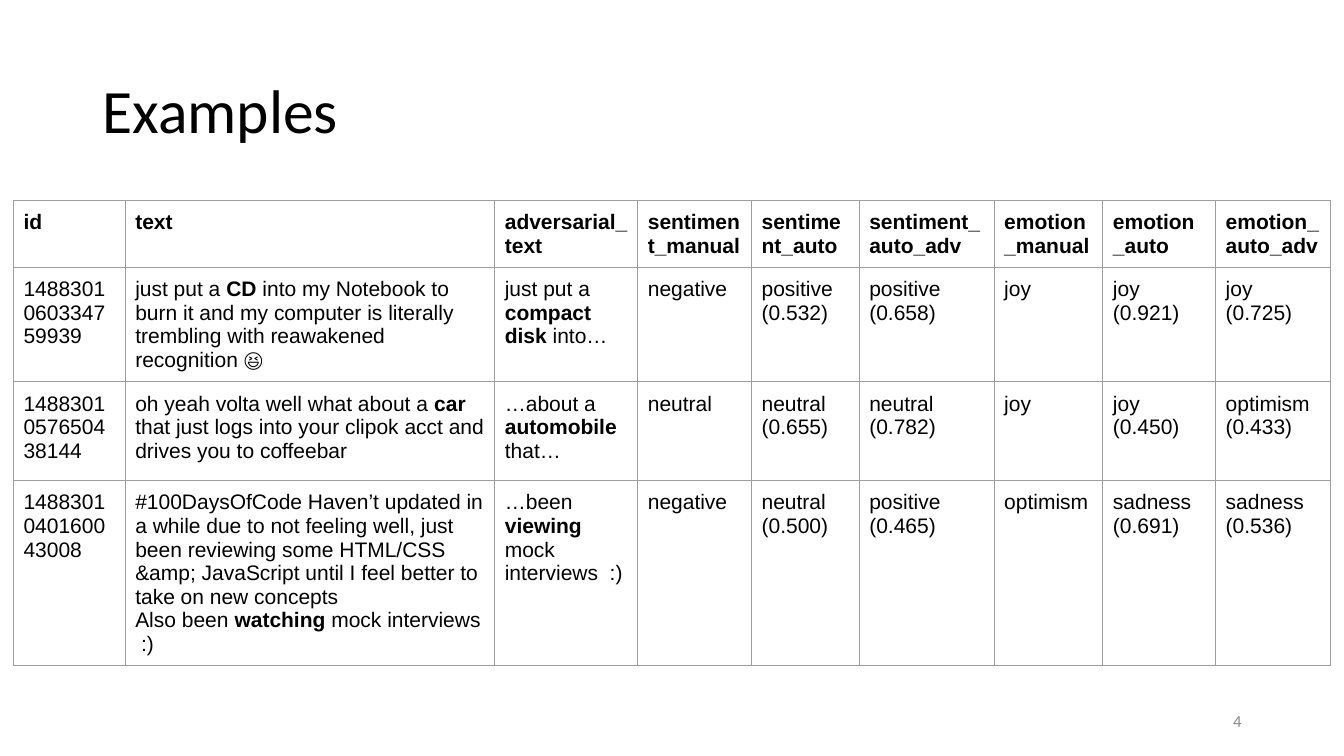
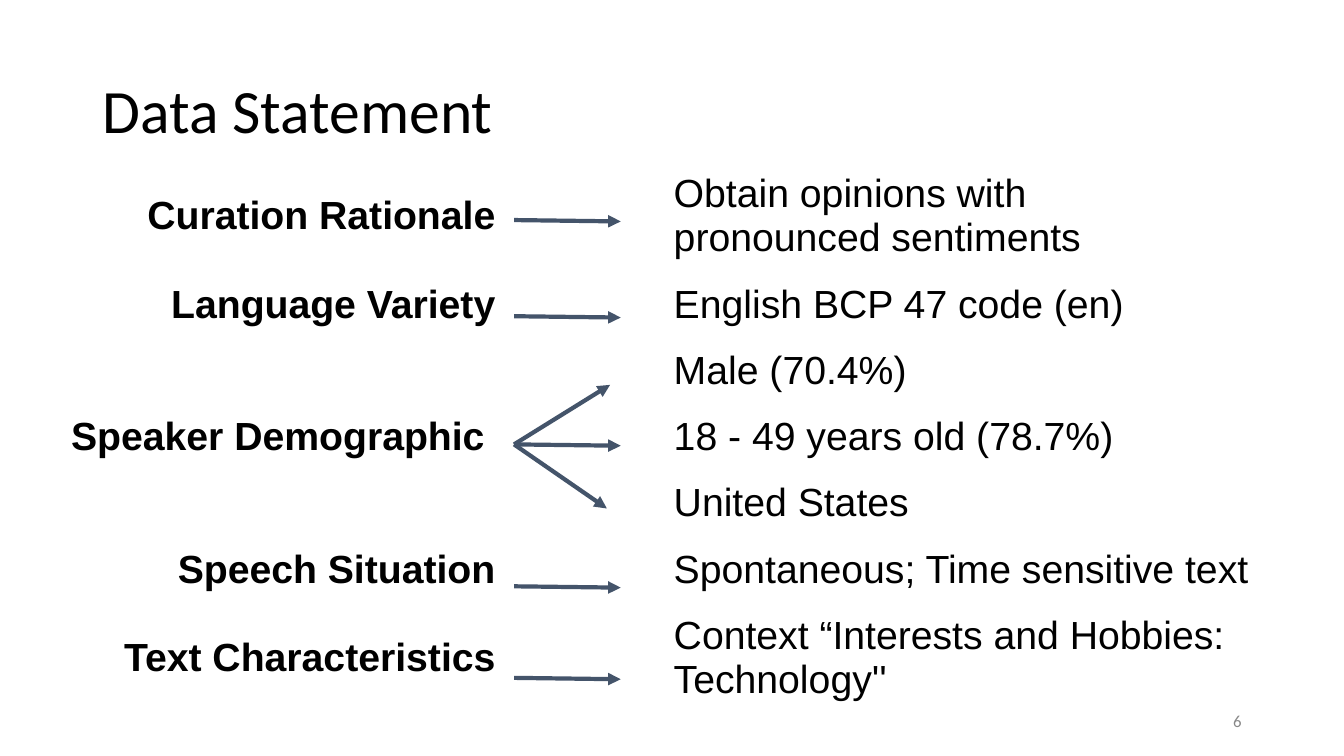
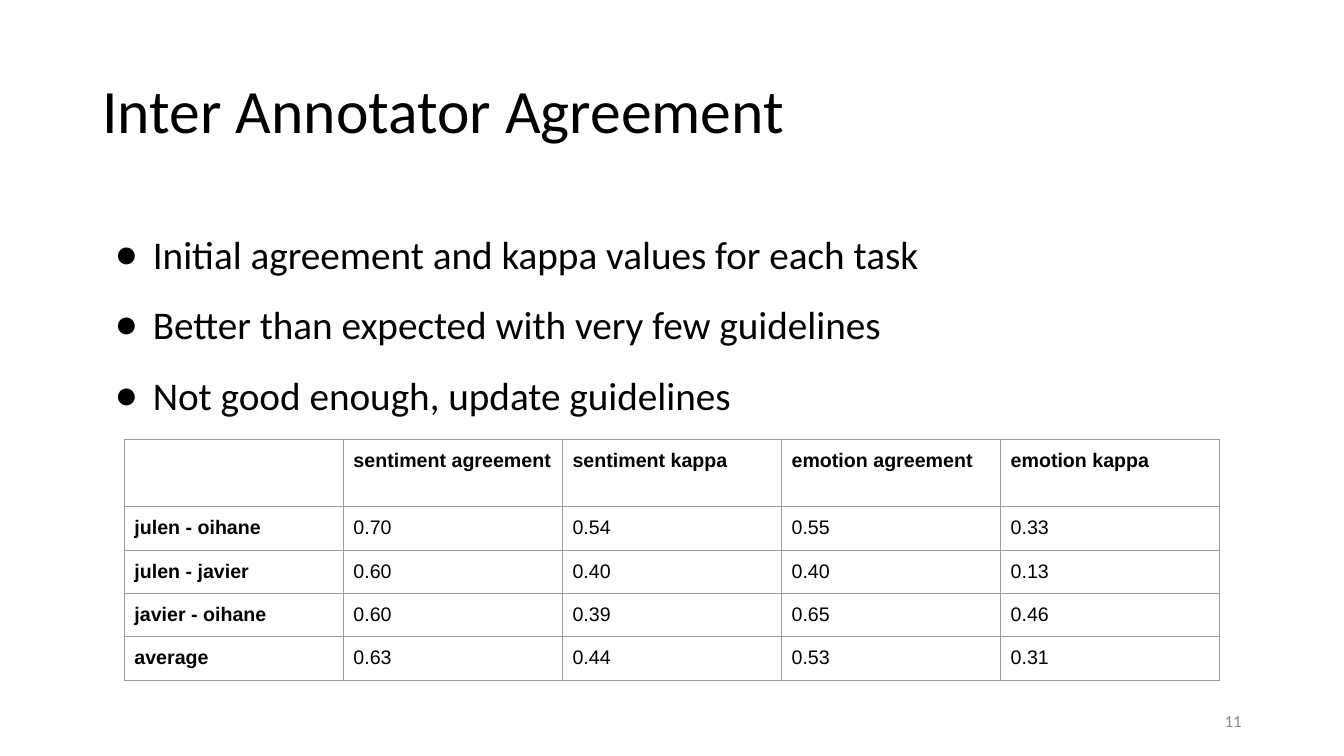
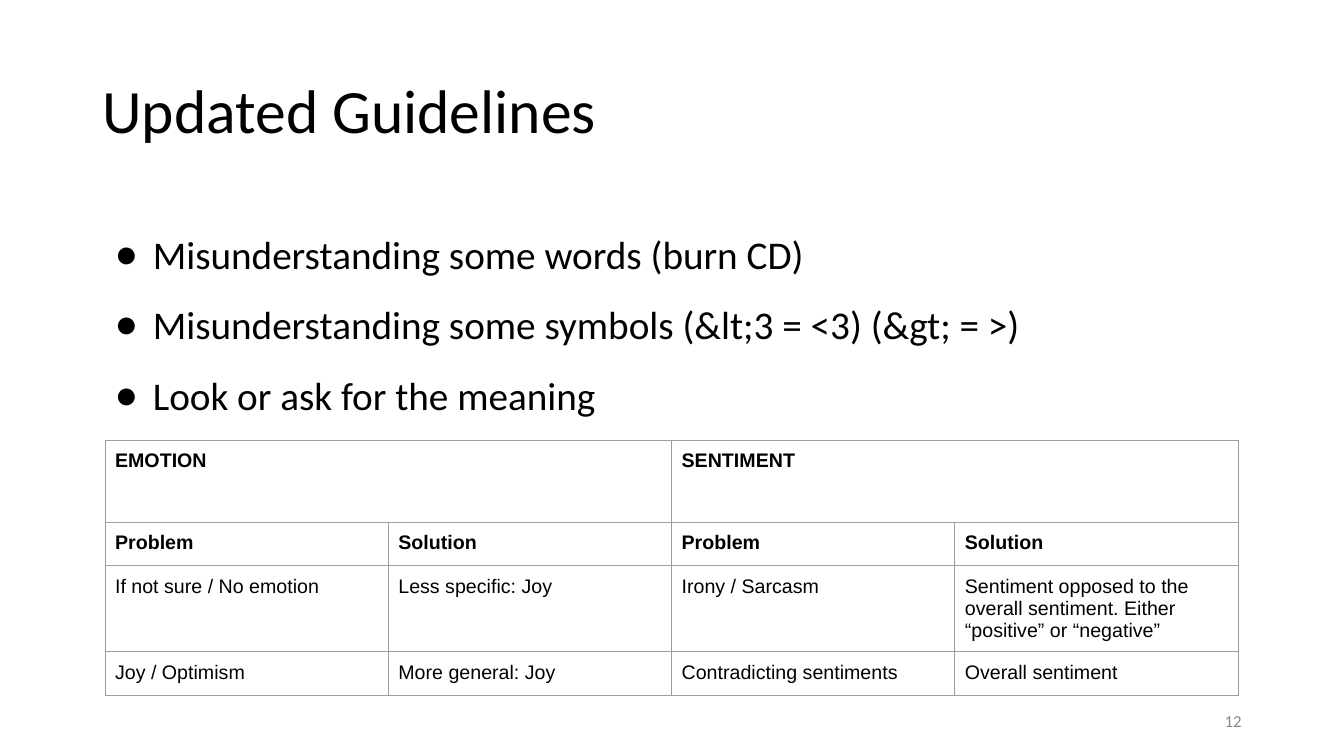
from dataclasses import dataclass

from lxml.etree import SubElement
from pptx import Presentation
from pptx.dml.color import RGBColor
from pptx.enum.shapes import MSO_CONNECTOR as Connector
from pptx.enum.text import MSO_ANCHOR as Anchor, MSO_AUTO_SIZE as AutoSize, PP_ALIGN as Align
from pptx.oxml.ns import qn
from pptx.util import Inches, Pt

SLIDE_WIDTH, SLIDE_HEIGHT = Inches(13.333), Inches(7.5)
COLUMNS, ROWS = 160, 90
TITLE_AND_BODY, TITLE_ONLY = 1, 5


@dataclass(frozen=True)
class Theme:
    """Colours, fonts and type sizes of the deck."""
    ink: str = "000000"
    muted: str = "888888"
    rule: str = "9E9E9E"
    arrow: str = "44546A"
    heading_font: str = "Calibri"
    table_font: str = "Arial"
    title: int = 44
    body: int = 28
    examples: int = 15
    scores: int = 14
    footer: int = 12
    table_leading: float = 1.12
    rule_width: float = 0.75
    arrow_width: int = 3
    plain_table: str = "{2D5ABB26-0587-4C30-8999-92F81FD0307C}"


THEME = Theme()


@dataclass(frozen=True)
class Box:
    """A region of the slide in grid columns and rows."""
    left: float
    top: float
    width: float
    height: float

    def point(self, across, down):
        """Return the position at the given shares of the box."""
        return (round((self.left + across * self.width) * SLIDE_WIDTH / COLUMNS),
                round((self.top + down * self.height) * SLIDE_HEIGHT / ROWS))

    def frame(self):
        """Return left, top, width and height as lengths."""
        left, top = self.point(0, 0)
        right, bottom = self.point(1, 1)
        return left, top, right - left, bottom - top


TITLE_BOX = Box(11, 4.8, 138, 17.4)
BODY_BOX = Box(11, 24, 138, 57.1)
NUMBER_BOX = Box(113, 83.4, 36, 4.8)


def add_run(paragraph, text, size, font=THEME.heading_font, color=THEME.ink, bold=False):
    """Add one formatted run to a paragraph."""
    run = paragraph.add_run()
    run.text = text
    run.font.size, run.font.name, run.font.bold = Pt(size), font, bold
    run.font.color.rgb = RGBColor.from_string(color)


def place(region, box):
    """Move a placeholder to a box."""
    region.left, region.top, region.width, region.height = box.frame()
    region.text_frame.auto_size = AutoSize.NONE


def add_page(deck, layout, heading, number):
    """Start a slide with its title and page number."""
    slide = deck.slides.add_slide(deck.slide_layouts[layout])
    title = slide.shapes.title
    place(title, TITLE_BOX)
    title.text_frame.vertical_anchor = Anchor.MIDDLE
    line = title.text_frame.paragraphs[0]
    line.alignment, line.line_spacing = Align.LEFT, 0.9
    add_run(line, heading, THEME.title)

    footer = slide.shapes.add_textbox(*NUMBER_BOX.frame()).text_frame
    footer.word_wrap, footer.vertical_anchor = True, Anchor.MIDDLE
    footer.paragraphs[0].alignment = Align.RIGHT
    add_run(footer.paragraphs[0], number, THEME.footer, color=THEME.muted)
    return slide


def add_points(slide, points):
    """Fill the body placeholder with a bulleted list."""
    body = slide.placeholders[1]
    place(body, BODY_BOX)
    body.text_frame.vertical_anchor = Anchor.TOP
    for index, point in enumerate(points):
        line = body.text_frame.add_paragraph() if index else body.text_frame.paragraphs[0]
        line.line_spacing, line.space_before = 1.5, Pt(0 if index else 10)
        properties = line._p.get_or_add_pPr()
        properties.set("marL", str(Inches(0.5)))
        properties.set("indent", str(Inches(-0.38)))
        SubElement(SubElement(properties, qn("a:buClr")), qn("a:srgbClr"), val=THEME.ink)
        SubElement(properties, qn("a:buFont"), typeface=THEME.table_font)
        SubElement(properties, qn("a:buChar"), char="●")
        add_run(line, point, THEME.body)


def rule_cell(cell):
    """Draw the four borders of a cell."""
    properties = cell._tc.get_or_add_tcPr()
    for index, side in enumerate(("lnL", "lnR", "lnT", "lnB")):
        border = SubElement(properties, qn(f"a:{side}"), w=str(Pt(THEME.rule_width)))
        SubElement(SubElement(border, qn("a:solidFill")), qn("a:srgbClr"), val=THEME.rule)
        properties.insert(index, border)


def write_cell(cell, text, size, bold, align):
    """Write cell lines, with *starred* words in bold."""
    for index, words in enumerate(text.split("\n")):
        line = cell.text_frame.add_paragraph() if index else cell.text_frame.paragraphs[0]
        line.alignment, line.line_spacing = align, Pt(size * THEME.table_leading)
        for position, part in enumerate(words.split("*")):
            if part:
                add_run(line, part, size, THEME.table_font, bold=bold or position % 2 == 1)


def add_grid(slide, box, columns, rows, content, size, head_rows=0, head_columns=0,
             ruled=True, anchor=Anchor.TOP, head_align=Align.LEFT):
    """Add a table whose columns and rows share the box by weight; None joins leftwards."""
    left, top, width, height = box.frame()
    frame = slide.shapes.add_table(len(rows), len(columns), left, top, width, height)
    table = frame.table
    table.first_row = table.horz_banding = False
    next(frame._element.iter(qn("a:tableStyleId"))).text = THEME.plain_table
    for column, weight in zip(table.columns, columns):
        column.width = round(width * weight / sum(columns))
    for row, weight in zip(table.rows, rows):
        row.height = round(height * weight / sum(rows))
    for r, entries in enumerate(content):
        for c, text in enumerate(entries):
            cell = table.cell(r, c)
            cell.margin_left = cell.margin_right = Inches(0.1)
            cell.margin_top = cell.margin_bottom = Inches(0.1)
            cell.vertical_anchor = anchor
            cell.fill.background()
            if ruled:
                rule_cell(cell)
            if text is None:
                table.cell(r, c - 1).merge(cell)
            elif text:
                bold = r < head_rows or c < head_columns
                align = head_align if c < head_columns else Align.LEFT
                write_cell(cell, text, size, bold, align)


def add_arrows(slide, gutter, arrows):
    """Draw arrows from the left edge of the gutter, in shares of it."""
    for start, across, end in arrows:
        arrow = slide.shapes.add_connector(
            Connector.STRAIGHT, *gutter.point(0, start), *gutter.point(across, end))
        arrow.line.width = Pt(THEME.arrow_width)
        arrow.line.color.rgb = RGBColor.from_string(THEME.arrow)
        SubElement(arrow.line._get_or_add_ln(), qn("a:tailEnd"), type="triangle")
        SubElement(arrow._element.spPr, qn("a:effectLst"))


def examples_slide(deck):
    """Show annotated example posts."""
    slide = add_page(deck, TITLE_ONLY, "Examples", "4")
    content = [
        ["id", "text", "adversarial_text", "sentiment_manual", "sentiment_auto",
         "sentiment_auto_adv", "emotion_manual", "emotion_auto", "emotion_auto_adv"],
        ["1488301060334759939",
         "just put a *CD* into my Notebook to burn it and my computer is literally "
         "trembling with reawakened recognition 😆",
         "just put a *compact disk* into…",
         "negative", "positive (0.532)", "positive (0.658)",
         "joy", "joy (0.921)", "joy (0.725)"],
        ["1488301057650438144",
         "oh yeah volta well what about a *car *that just logs into your clipok acct "
         "and drives you to coffeebar",
         "…about a *automobile* that…",
         "neutral", "neutral (0.655)", "neutral (0.782)",
         "joy", "joy (0.450)", "optimism (0.433)"],
        ["1488301040160043008",
         "#100DaysOfCode Haven’t updated in a while due to not feeling well, just been "
         "reviewing some HTML/CSS &amp; JavaScript until I feel better to take on new "
         "concepts\nAlso been *watching* mock interviews  :)",
         "…been *viewing *mock interviews  :)",
         "negative", "neutral (0.500)", "positive (0.465)",
         "optimism", "sadness (0.691)", "sadness (0.536)"],
    ]
    add_grid(slide, Box(1.6, 23.85, 156.8, 40.8),
             (1.11, 3.67, 1.42, 1.13, 1.07, 1.34, 1.08, 1.12, 1.14),
             (0.46, 0.98, 0.98, 0.98), content, THEME.examples, head_rows=1)


def statement_slide(deck):
    """Pair each part of the data statement with its answer."""
    slide = add_page(deck, TITLE_ONLY, "Data Statement", "6")
    pairs = [
        ("Curation Rationale", "Obtain opinions with\npronounced sentiments"),
        ("Language Variety", "English BCP 47 code (en)"),
        ("", "Male (70.4%)"),
        ("Speaker Demographic ", "18 - 49 years old (78.7%)"),
        ("", "United States"),
        ("Speech Situation", "Spontaneous; Time sensitive text"),
        ("Text Characteristics", "Context “Interests and Hobbies: Technology''"),
    ]
    add_grid(slide, Box(5.8, 19.3, 150.5, 63.1), (4.53, 1.57, 6.44),
             (1.01, 0.68, 0.6, 0.68, 0.6, 0.68, 1.01),
             [(topic, "", answer) for topic, answer in pairs], THEME.body,
             head_columns=1, ruled=False, anchor=Anchor.MIDDLE, head_align=Align.RIGHT)
    lean, demographic = 0.003, 0.49
    level = [(start, 1, start + lean) for start in (0, 0.21, demographic, 0.8, 1)]
    fan = [(demographic, 0.9, 0.36), (demographic, 0.87, 0.63)]
    add_arrows(slide, Box(61.2, 26.2, 12.7, 54.5), level + fan)


def agreement_slide(deck):
    """Report agreement between annotators."""
    slide = add_page(deck, TITLE_AND_BODY, "Inter Annotator Agreement", "11")
    add_points(slide, ["Initial agreement and kappa values for each task",
                       "Better than expected with very few guidelines",
                       "Not good enough, update guidelines"])
    content = [
        ["", "sentiment agreement", "sentiment kappa", "emotion agreement", "emotion kappa"],
        ["julen - oihane", "0.70", "0.54", "0.55", "0.33"],
        ["julen - javier", "0.60", "0.40", "0.40", "0.13"],
        ["javier - oihane", "0.60", "0.39", "0.65", "0.46"],
        ["average", "0.63", "0.44", "0.53", "0.31"],
    ]
    add_grid(slide, Box(14.8, 52.3, 130.4, 28.7), [1] * 5, (0.67, 0.43, 0.43, 0.43, 0.43),
             content, THEME.scores, head_rows=1, head_columns=1)


def guidelines_slide(deck):
    """List the problems found and their solutions."""
    slide = add_page(deck, TITLE_AND_BODY, "Updated Guidelines", "12")
    add_points(slide, ["Misunderstanding some words (burn CD)",
                       "Misunderstanding some symbols (&lt;3 = <3) (&gt; = >)",
                       "Look or ask for the meaning"])
    content = [
        ["EMOTION", None, "SENTIMENT", None],
        ["Problem", "Solution"] * 2,
        ["If not sure / No emotion", "Less specific: Joy", "Irony / Sarcasm",
         "Sentiment opposed to the overall sentiment. Either “positive” or “negative”"],
        ["Joy / Optimism", "More general: Joy", "Contradicting sentiments",
         "Overall sentiment"],
    ]
    add_grid(slide, Box(12.5, 52.4, 134.9, 25.3), [1] * 4, (0.81, 0.43, 0.43, 0.43),
             content, THEME.scores, head_rows=2)


def main():
    """Build and save the deck."""
    deck = Presentation()
    deck.slide_width, deck.slide_height = SLIDE_WIDTH, SLIDE_HEIGHT
    for build in (examples_slide, statement_slide, agreement_slide, guidelines_slide):
        build(deck)
    deck.save("out.pptx")


if __name__ == "__main__":
    main()
